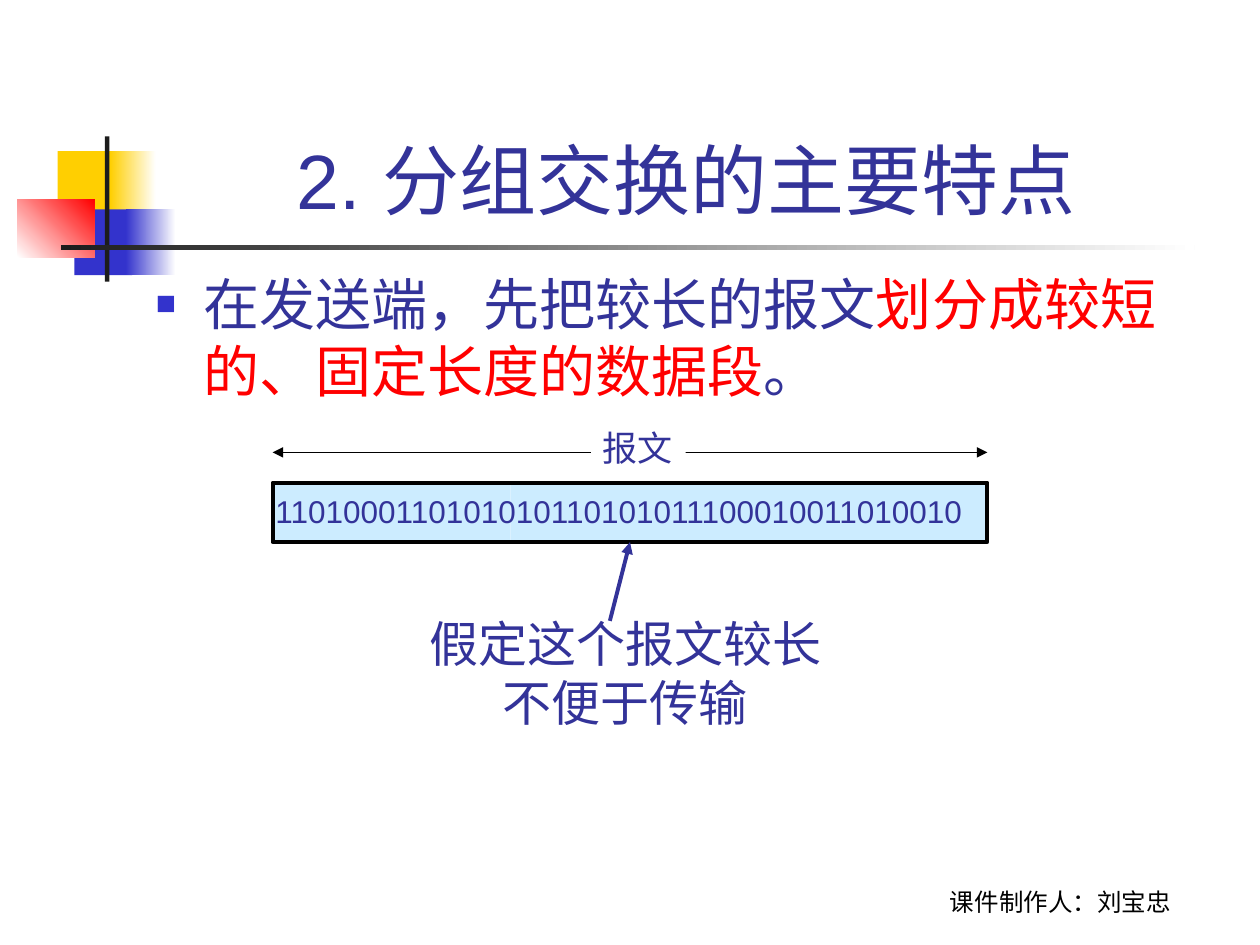
from lxml.etree import SubElement
from pptx import Presentation
from pptx.dml.color import RGBColor
from pptx.enum.shapes import MSO_CONNECTOR as Line, MSO_SHAPE as Shape
from pptx.enum.text import MSO_ANCHOR as Anchor, MSO_AUTO_SIZE as AutoSize, PP_ALIGN as Align
from pptx.oxml.ns import qn
from pptx.util import Pt

YELLOW = RGBColor(0xFF, 0xCF, 0x01)
BLUE = RGBColor(0x33, 0x33, 0xCC)
NAVY = RGBColor(0x33, 0x33, 0x99)
RED = RGBColor(0xFF, 0, 0)
CHARCOAL = RGBColor(0x1C, 0x1C, 0x1C)
PALE = RGBColor(0xCC, 0xEC, 0xFF)
BLACK = RGBColor(0, 0, 0)
WHITE = RGBColor(0xFF, 0xFF, 0xFF)


def add_rect(page, left, top, width, height, color=None, fade=None, angle=0):
    """Plain rectangle: solid, fading from color to fade, or unfilled."""
    rect = page.shapes.add_shape(Shape.RECTANGLE, Pt(left), Pt(top), Pt(width), Pt(height))
    rect.shadow.inherit = False
    rect.line.fill.background()
    if color is None:
        rect.fill.background()
    elif fade is None:
        rect.fill.solid()
        rect.fill.fore_color.rgb = color
    else:
        rect.fill.gradient()
        rect.fill.gradient_angle = angle
        for stop, shade in zip(rect.fill.gradient_stops, (color, fade)):
            stop.color.rgb = shade
    return rect


def add_span(para, text, size, font, color):
    span = para.add_run()
    span.text = text
    span.font.size = Pt(size)
    span.font.name = font
    span.font.color.rgb = color


def add_text(page, left, top, width, height, lines, size, font, color,
             align=Align.LEFT, anchor=Anchor.TOP, wrap=False):
    box = page.shapes.add_textbox(Pt(left), Pt(top), Pt(width), Pt(height))
    frame = box.text_frame
    frame.word_wrap = wrap
    frame.vertical_anchor = anchor
    for number, text in enumerate(lines):
        para = frame.add_paragraph() if number else frame.paragraphs[0]
        para.alignment = align
        add_span(para, text, size, font, color)
    return box


def add_line(page, start, end, color, width, heads):
    line = page.shapes.add_connector(Line.STRAIGHT, *map(Pt, start + end))
    line.line.color.rgb = color
    line.line.width = Pt(width)
    properties = line.line._get_or_add_ln()
    for head in heads:
        SubElement(properties, qn(f"a:{head}"), type="triangle")
    SubElement(line._element.spPr, qn("a:effectLst"))
    return line


def add_ornament(page, left, top):
    """Coloured squares with a cross of rules."""
    for x, y, width, height, *paint in (
        (23, 8.4, 35, 37.5, YELLOW),
        (53, 8.4, 26, 37.5, YELLOW, WHITE),
        (32.5, 41.7, 33, 37.5, BLUE),
        (62, 41.7, 28.5, 37.5, BLUE, WHITE),
        (0, 35.8, 44, 33.3, WHITE, RED, 45),
        (50, 0, 2.5, 83, CHARCOAL),
        (24.7, 62.2, 648, 2.5, CHARCOAL, WHITE),
    ):
        add_rect(page, left + x, top + y, width, height, *paint)


def add_title(page, left, top, width, height):
    title = page.shapes.title
    title.left, title.top, title.width, title.height = map(Pt, (left, top, width, height))
    frame = title.text_frame
    frame.auto_size = AutoSize.NONE
    frame.vertical_anchor = Anchor.BOTTOM
    para = frame.paragraphs[0]
    para.alignment = Align.CENTER
    add_span(para, "2. 分组交换的主要特点 ", 44, "Arial", NAVY)


def add_body(page, left, top, width, height):
    box = add_text(page, left, top, width, height, [], 32, "Arial", NAVY, wrap=True)
    para = box.text_frame.paragraphs[0]
    # Small square bullet with a hanging indent
    properties = para._p.get_or_add_pPr()
    properties.set("marL", str(Pt(27)))
    properties.set("indent", str(-Pt(27)))
    bullet_color = SubElement(properties, qn("a:buClr"))
    SubElement(bullet_color, qn("a:srgbClr"), val=str(BLUE))
    SubElement(properties, qn("a:buSzPct"), val="60000")
    SubElement(properties, qn("a:buFont"), typeface="Arial")
    SubElement(properties, qn("a:buChar"), char="■")
    for text, color in (
        ("在发送端，先把较长的报文", NAVY),
        ("划分成较短的、固定长度的数据段", RED),
        ("。", NAVY),
    ):
        add_span(para, text, 32, "Arial", color)


def add_message(page, left, top, width, height):
    """Message bar with its length arrow above and a remark below."""
    # Length arrow, with a gap for the label
    arrow_y = top - 17.3
    add_line(page, (left, arrow_y), (left + width, arrow_y), BLACK, 0.75,
             ("headEnd", "tailEnd"))
    add_rect(page, left + 182, top - 36, 54, 31.5, WHITE)
    add_text(page, left + 181.5, top - 35.5, 72, 31.5, ["报文"], 20, "Times New Roman", NAVY)

    # Three segments inside one frame
    segment = width / 3
    for number in range(3):
        add_rect(page, left + number * segment, top, segment, height, PALE)
    frame = add_rect(page, left, top, width, height)
    frame.line.color.rgb = BLACK
    frame.line.width = Pt(2.25)
    add_text(page, left - 5.5, top + 1.8, 430, 29,
             ["1101000110101010110101011100010011010010"], 18, "Arial", NAVY)

    # Remark pointing at the bar
    add_text(page, left + 72.5, top + 71.3, 258, 75,
             ["假定这个报文较长", "不便于传输"], 28, "Cabin", NAVY, Align.CENTER)
    pointer = add_line(page, (left + 192.7, top + 79), (left + width / 2, top + height),
                       NAVY, 2.25, ("tailEnd",))
    pointer.end_connect(frame, 2)


def add_footer(page, left, top, width, height):
    add_text(page, left, top, width, height, ["课件制作人：刘宝忠"], 14, "Cabin", BLACK,
             Align.CENTER, Anchor.BOTTOM, wrap=True)


def main():
    deck = Presentation()
    deck.slide_width, deck.slide_height = Pt(720), Pt(540)
    page = deck.slides.add_slide(deck.slide_layouts[5])
    add_ornament(page, 10, 78)
    add_footer(page, 492, 491, 228, 36)
    add_title(page, 90.5, 17, 613.5, 115)
    add_body(page, 82, 150.5, 612, 324)
    add_message(page, 155.8, 275.8, 408.4, 34)
    deck.save("out.pptx")


if __name__ == "__main__":
    main()
